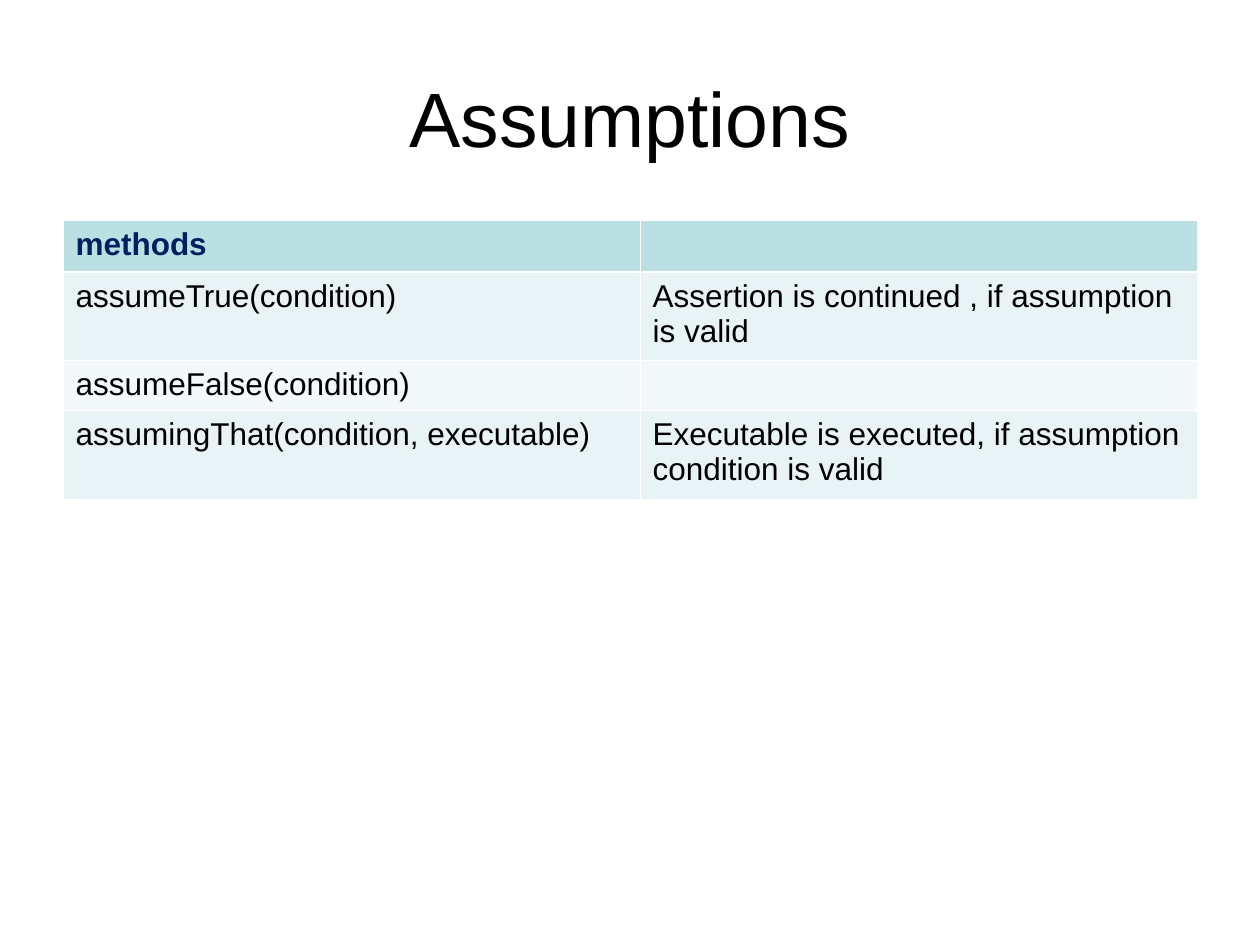
from dataclasses import dataclass

from lxml import etree
from pptx import Presentation
from pptx.dml.color import RGBColor
from pptx.enum.text import MSO_ANCHOR, PP_ALIGN
from pptx.oxml.ns import qn
from pptx.util import Inches, Pt

MIDDLE = MSO_ANCHOR.MIDDLE
LEFT, CENTER = PP_ALIGN.LEFT, PP_ALIGN.CENTER


@dataclass(frozen=True)
class Theme:
    font: str = "Arial"
    title_size: float = 44
    body_size: float = 18
    text: str = "000000"
    header_text: str = "002060"
    header_fill: str = "BBE0E3"
    bands: tuple = ("E7F3F4", "F3F9FA")
    border: str = "FFFFFF"
    thin: float = 0.45
    thick: float = 1.47


@dataclass(frozen=True)
class MethodRow:
    method: str
    meaning: str
    height: float


THEME = Theme()
COLUMN_WIDTHS = (4.58, 4.42)
ROWS = (
    MethodRow("methods", "", 0.41),
    MethodRow("assumeTrue(condition)",
              "Assertion is continued , if assumption is valid", 0.7),
    MethodRow("assumeFalse(condition)", "", 0.4),
    MethodRow("assumingThat(condition, executable)",
              "Executable is executed, if assumption condition is valid", 0.7),
)


def write(frame, text: str, *, size: float = THEME.body_size,
          color: str = THEME.text, bold: bool = False, align=LEFT) -> None:
    paragraph = frame.paragraphs[0]
    paragraph.text = text
    paragraph.alignment = align
    font = paragraph.font
    font.name, font.size, font.bold = THEME.font, Pt(size), bold
    font.color.rgb = RGBColor.from_string(color)


def set_borders(cell, *, top: float, bottom: float) -> None:
    properties = cell._tc.get_or_add_tcPr()
    widths = {"a:lnL": THEME.thin, "a:lnR": THEME.thin,
              "a:lnT": top, "a:lnB": bottom}
    for position, (tag, width) in enumerate(widths.items()):
        line = etree.Element(qn(tag), w=str(int(Pt(width))))
        fill = etree.SubElement(line, qn("a:solidFill"))
        etree.SubElement(fill, qn("a:srgbClr"), val=THEME.border)
        properties.insert(position, line)


def add_title(slide, text: str) -> None:
    box = slide.shapes.add_textbox(Inches(0.5), Inches(0.3), Inches(9), Inches(1.25))
    box.text_frame.word_wrap = True
    box.text_frame.vertical_anchor = MIDDLE
    write(box.text_frame, text, size=THEME.title_size, align=CENTER)


def add_methods_table(slide, rows: tuple[MethodRow, ...]) -> None:
    table = slide.shapes.add_table(
        len(rows), len(COLUMN_WIDTHS), Inches(0.5), Inches(1.75),
        Inches(sum(COLUMN_WIDTHS)), Inches(sum(row.height for row in rows))).table
    for column, width in zip(table.columns, COLUMN_WIDTHS):
        column.width = Inches(width)

    for index, row in enumerate(rows):
        table.rows[index].height = Inches(row.height)
        header = index == 0
        fill = THEME.header_fill if header else THEME.bands[(index - 1) % 2]
        for cell, text in zip(table.rows[index].cells, (row.method, row.meaning)):
            cell.fill.solid()
            cell.fill.fore_color.rgb = RGBColor.from_string(fill)
            # The thicker rule separates the header from the body
            set_borders(cell, top=THEME.thick if index == 1 else THEME.thin,
                        bottom=THEME.thick if header else THEME.thin)
            write(cell.text_frame, text, bold=header,
                  color=THEME.header_text if header else THEME.text)


def main() -> None:
    presentation = Presentation()
    presentation.slide_width, presentation.slide_height = Inches(10), Inches(7.5)
    slide = presentation.slides.add_slide(presentation.slide_layouts[6])

    # Heading
    add_title(slide, "Assumptions")
    # Methods and what they do
    add_methods_table(slide, ROWS)

    presentation.save("out.pptx")


if __name__ == "__main__":
    main()
